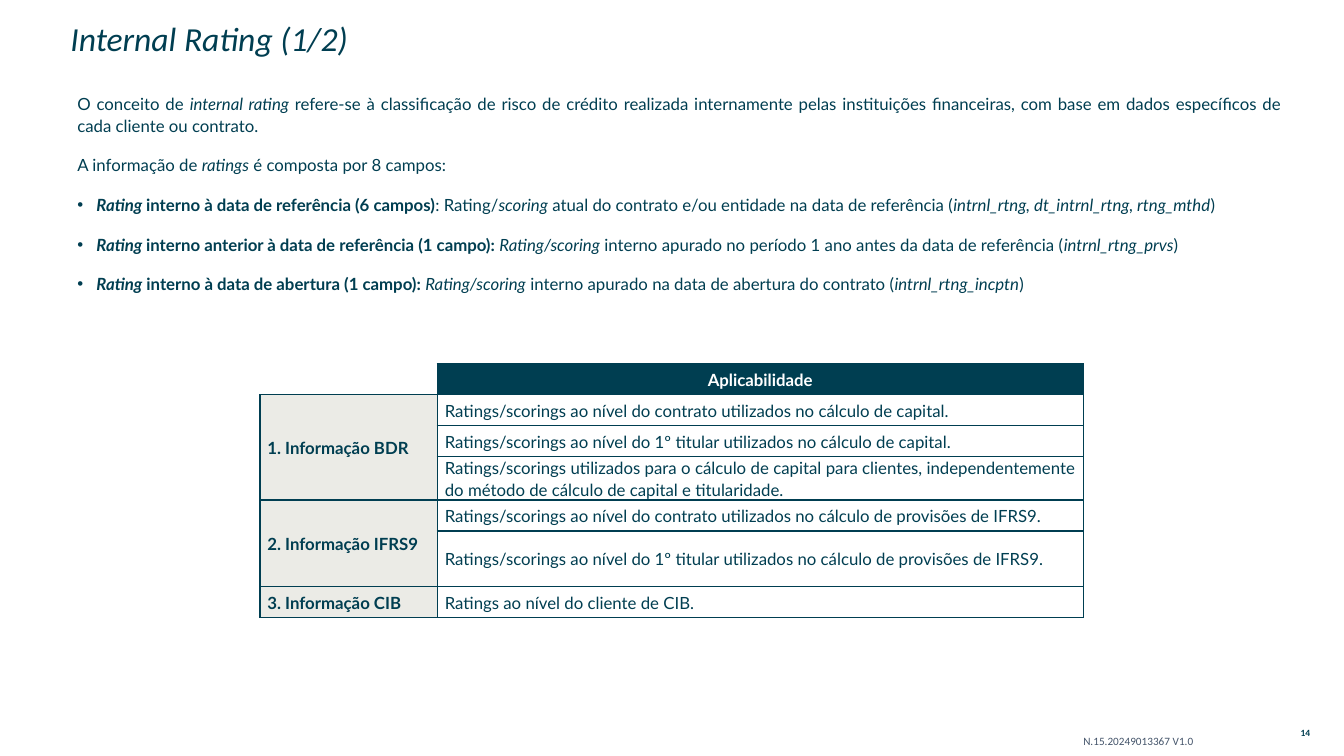
import pptx
import pptx.util
import pptx.oxml
import pptx.oxml.ns
import pptx.dml.color
import pptx.enum.text
from lxml import etree

Cm = pptx.util.Cm
Pt = pptx.util.Pt
ALIGN = pptx.enum.text.PP_ALIGN
MIDDLE = pptx.enum.text.MSO_ANCHOR.MIDDLE
COLORS = {"teal": "003E51", "slate": "44546A", "sand": "EBEBE6", "white": "FFFFFF"}


def style(run, size, font, color, bold=False, italic=False):
    run.font.size = Pt(size)
    run.font.name = font
    run.font.bold = bold
    run.font.italic = italic
    run.font.color.rgb = pptx.dml.color.RGBColor.from_string(COLORS[color])


def border(cell, sides):
    props = cell._tc.get_or_add_tcPr()
    for side in sides:
        line = etree.SubElement(props, pptx.oxml.ns.qn("a:ln" + side), w="12700")
        fill = etree.SubElement(line, pptx.oxml.ns.qn("a:solidFill"))
        etree.SubElement(fill, pptx.oxml.ns.qn("a:srgbClr"), val=COLORS["teal"])


deck = pptx.Presentation()
deck.slide_width = Cm(33.87)
deck.slide_height = Cm(19.05)
slide = deck.slides.add_slide(deck.slide_layouts[5])

title = slide.shapes.title
title.left, title.top, title.width, title.height = Cm(1.52), Cm(0.69), Cm(20.19), Cm(0.66)
title.text_frame.text = "Internal Rating (1/2)"
title.text_frame.vertical_anchor = MIDDLE
head = title.text_frame.paragraphs[0]
head.alignment = ALIGN.LEFT
head.line_spacing = 0.9
style(head.runs[0], 24, "Calibri", "teal", italic=True)

INTRO = [
    (False, [
        ("O conceito de ", ""),
        ("internal rating ", "i"),
        ("refere-se à classificação de risco de crédito realizada internamente pelas "
         "instituições financeiras, com base em dados específicos de cada cliente ou contrato.", ""),
    ]),
    (False, [
        ("A informação de ", ""),
        ("ratings", "i"),
        (" é composta por 8 campos:", ""),
    ]),
    (True, [
        ("Rating ", "bi"),
        ("interno à data de referência (6 campos)", "b"),
        (": Rating/", ""),
        ("scoring", "i"),
        (" atual do contrato e/ou entidade na data de referência (", ""),
        ("intrnl_rtng, dt_intrnl_rtng, rtng_mthd", "i"),
        (")", ""),
    ]),
    (True, [
        ("Rating ", "bi"),
        ("interno anterior à data de referência (1 campo): ", "b"),
        ("Rating/scoring", "i"),
        (" interno apurado no período 1 ano antes da data de referência (", ""),
        ("intrnl_rtng_prvs", "i"),
        (")", ""),
    ]),
    (True, [
        ("Rating", "bi"),
        (" interno à data de abertura (1 campo): ", "b"),
        ("Rating/scoring", "i"),
        (" interno apurado na data de abertura do contrato (", ""),
        ("intrnl_rtng_incptn", "i"),
        (")", ""),
    ]),
]
intro = slide.shapes.add_textbox(Cm(1.7), Cm(2.21), Cm(30.86), Cm(5.4)).text_frame
intro.word_wrap = True
for i, (point, parts) in enumerate(INTRO):
    para = intro.add_paragraph() if i else intro.paragraphs[0]
    para.alignment = ALIGN.JUSTIFY
    para.line_spacing = 1.07
    para.space_before = Pt(4.9 if i else 0)
    para.space_after = Pt(8)
    if point:
        props = para._p.get_or_add_pPr()
        props.set("marL", str(Cm(0.48)))
        props.set("indent", str(-Cm(0.48)))
        font = etree.SubElement(props, pptx.oxml.ns.qn("a:buFont"), typeface="Arial")
        etree.SubElement(props, pptx.oxml.ns.qn("a:buChar"), char="•")
    for text, look in parts:
        run = para.add_run()
        run.text = text
        style(run, 12, "Lato", "teal", "b" in look, "i" in look)

GROUPS = [
    ("1. Informação BDR", [
        "Ratings/scorings ao nível do contrato utilizados no cálculo de capital.",
        "Ratings/scorings ao nível do 1º titular utilizados no cálculo de capital.",
        "Ratings/scorings utilizados para o cálculo de capital para clientes, "
        "independentemente do método de cálculo de capital e titularidade.",
    ]),
    ("2. Informação IFRS9", [
        "Ratings/scorings ao nível do contrato utilizados no cálculo de provisões de IFRS9.",
        "Ratings/scorings ao nível do 1º titular utilizados no cálculo de provisões de IFRS9.",
    ]),
    ("3. Informação CIB", ["Ratings ao nível do cliente de CIB."]),
]
ROWS = [0.78, 0.78, 0.78, 1.09, 0.78, 1.4, 0.78]
grid = slide.shapes.add_table(len(ROWS), 2, Cm(6.55), Cm(9.17), Cm(20.75), Cm(sum(ROWS))).table
grid.columns[0].width = Cm(4.47)
grid.columns[1].width = Cm(16.28)
for row, tall in zip(grid.rows, ROWS):
    row.height = Cm(tall)

labels = {(0, 1): "Aplicabilidade"}
top = 1
for name, uses in GROUPS:
    labels[top, 0] = name
    for i, use in enumerate(uses):
        labels[top + i, 1] = use
    if len(uses) > 1:
        grid.cell(top, 0).merge(grid.cell(top + len(uses) - 1, 0))
    top += len(uses)

for r in range(len(ROWS)):
    for c in range(2):
        cell = grid.cell(r, c)
        cell.margin_left = cell.margin_right = Cm(0.19)
        cell.margin_top = cell.margin_bottom = 0
        cell.vertical_anchor = MIDDLE
        border(cell, "RB" if (r, c) == (0, 0) else "LRTB")
        tint = ("white", "teal") if r == 0 else ("sand", "white")
        cell.fill.solid()
        cell.fill.fore_color.rgb = pptx.dml.color.RGBColor.from_string(COLORS[tint[c]])
        if (r, c) in labels:
            cell.text_frame.text = labels[r, c]
            para = cell.text_frame.paragraphs[0]
            para.line_spacing = 1.07
            para.alignment = ALIGN.CENTER if r == 0 else (ALIGN.LEFT, ALIGN.JUSTIFY)[c]
            style(para.runs[0], 12, "Lato", "teal" if r else "white", r == 0 or c == 0)

FOOT = [
    ("N.15.20249013367 V1.0", (27.05, 18.26, 3.96, 0.81), 8, "slate", False, ALIGN.LEFT, 0.25),
    ("14", (32.33, 18.26, 1.14, 0.41), 6.8, "teal", True, ALIGN.CENTER, 0.15),
]
for text, place, size, color, bold, align, inset in FOOT:
    frame = slide.shapes.add_textbox(*[Cm(n) for n in place]).text_frame
    frame.word_wrap = True
    frame.vertical_anchor = MIDDLE
    frame.margin_left = frame.margin_right = Cm(inset)
    frame.margin_top = frame.margin_bottom = Cm(inset / 2)
    frame.text = text
    frame.paragraphs[0].alignment = align
    style(frame.paragraphs[0].runs[0], size, "Calibri", color, bold)

deck.save("out.pptx")
